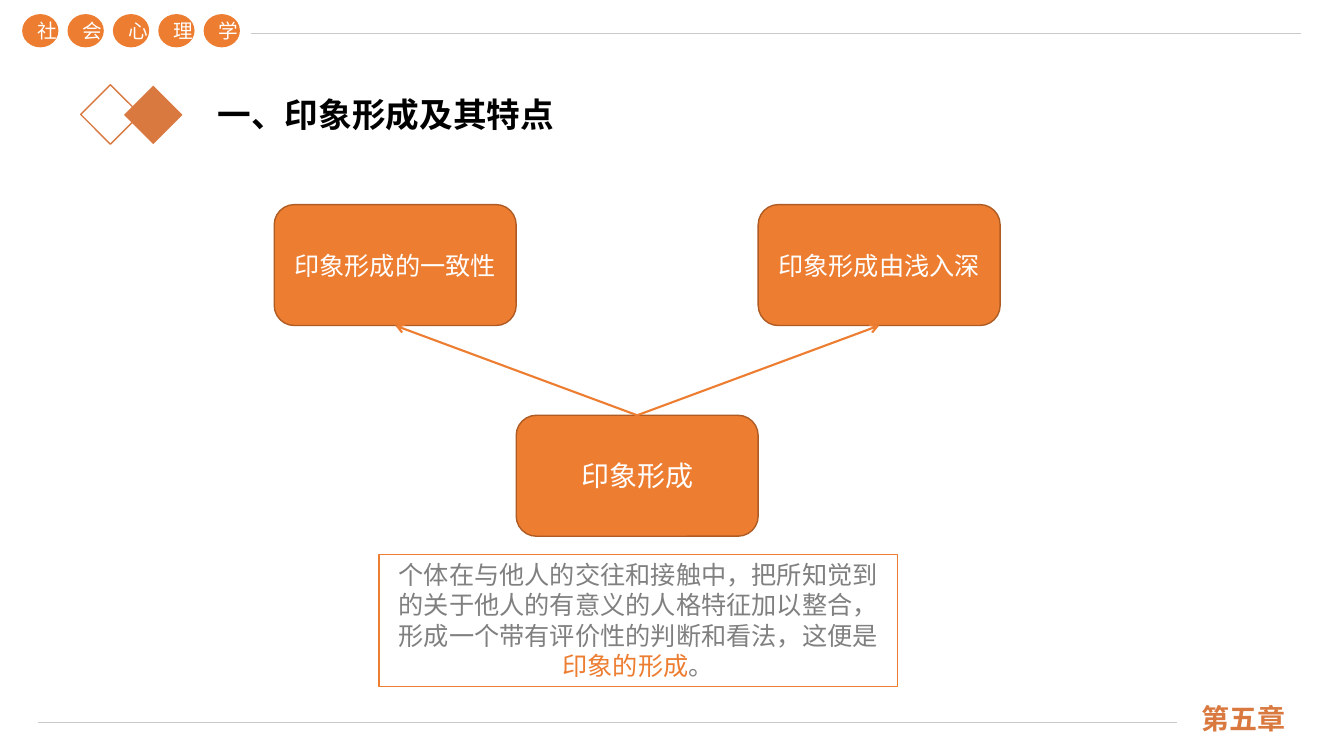
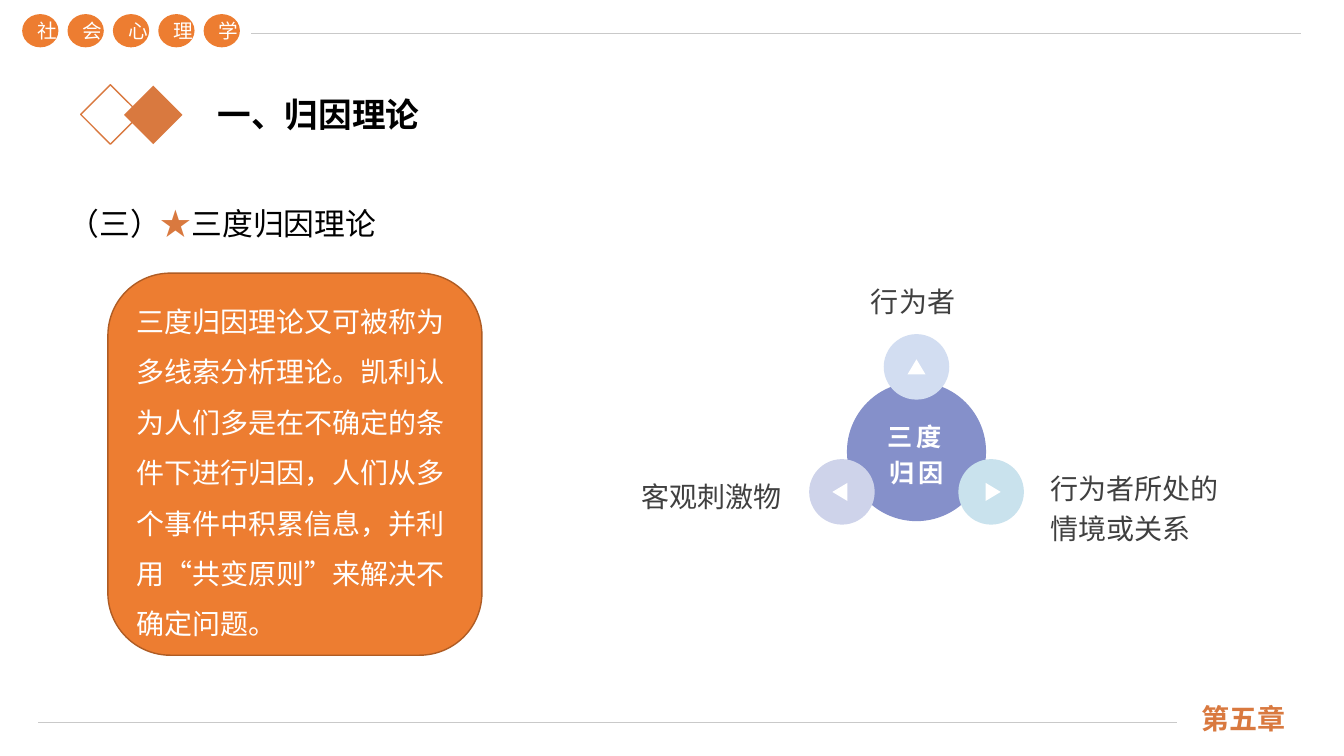
import pptx
import pptx.dml.color
import pptx.enum.shapes
import pptx.enum.text
import pptx.oxml
import pptx.oxml.ns
import pptx.util

EMU_PER_PX = 9144
SLIDE_WIDTH, SLIDE_HEIGHT = 1333, 750
FONT = "Noto Sans CJK SC"
COLORS = {
    "orange": "ED7D31",
    "orange_edge": "AF5C24",
    "rust": "D9793F",
    "rule": "C9C9C9",
    "white": "FFFFFF",
    "black": "000000",
    "gray": "808080",
    "label": "404040",
    "hub": "8590CA",
    "actor": "D2DDF1",
    "stimulus": "CED3EA",
    "context": "C9E2ED",
}
SHAPE = pptx.enum.shapes.MSO_SHAPE
ALIGN = pptx.enum.text.PP_ALIGN
ANCHOR = pptx.enum.text.MSO_ANCHOR


def px(length):
    return pptx.util.Emu(round(length * EMU_PER_PX))


def rgb(name):
    return pptx.dml.color.RGBColor.from_string(COLORS[name])


def add_xml(parent, tag, **attributes):
    element = pptx.oxml.parse_xml(f"<a:{tag} {pptx.oxml.ns.nsdecls('a')}/>")
    for key, value in attributes.items():
        element.set(key, value)
    parent.append(element)
    return element


def write(shape, runs, size=18, color="white", font=FONT, east_asian=FONT, bold=False,
          align=ALIGN.LEFT, anchor=ANCHOR.TOP, line_spacing=None, tracking=0):
    """Fill a shape with one paragraph; runs is a string or (text, colour) pairs."""
    frame = shape.text_frame
    frame.word_wrap = True
    frame.auto_size = pptx.enum.text.MSO_AUTO_SIZE.NONE
    frame.vertical_anchor = anchor
    paragraph = frame.paragraphs[0]
    paragraph.alignment = align
    paragraph.space_before = pptx.util.Pt(0)
    if line_spacing:
        paragraph.line_spacing = line_spacing
    for text, run_color in [(runs, color)] if isinstance(runs, str) else runs:
        run = paragraph.add_run()
        run.text = text
        run.font.size = pptx.util.Pt(size)
        run.font.bold = bold
        run.font.color.rgb = rgb(run_color)
        run.font.name = font
        properties = run.font._element
        add_xml(properties, "ea", typeface=east_asian)
        if tracking:
            properties.set("spc", str(tracking * 100))
    return paragraph


def place(shape, left, top, width, height):
    shape.left, shape.top, shape.width, shape.height = map(px, (left, top, width, height))


def add_shape(slide, kind, box, fill=None, line=None):
    shape = slide.shapes.add_shape(kind, *map(px, box))
    shape.shadow.inherit = False
    if fill:
        shape.fill.solid()
        shape.fill.fore_color.rgb = rgb(fill)
    else:
        shape.fill.background()
    if line:
        shape.line.color.rgb = rgb(line)
        shape.line.width = pptx.util.Pt(1)
    else:
        shape.line.fill.background()
    return shape


def add_label(slide, box, runs, **text_format):
    write(slide.shapes.add_textbox(*map(px, box)), runs, **text_format)


def add_line(slide, start=(0, 0), end=(0, 0), color="rule", width=1):
    connector = slide.shapes.add_connector(
        pptx.enum.shapes.MSO_CONNECTOR.STRAIGHT, *map(px, (*start, *end)))
    connector.line.color.rgb = rgb(color)
    connector.line.width = pptx.util.Pt(width)
    add_xml(connector._element.spPr, "effectLst")
    return connector


def add_header(slide):
    add_line(slide, (249, 33), (1290, 33))
    for index, character in enumerate("社会心理学"):
        badge = add_shape(slide, SHAPE.OVAL, (22 + 45 * index, 14, 36, 33), "orange")
        write(badge, character, size=14, align=ALIGN.CENTER, anchor=ANCHOR.MIDDLE)


def add_footer(slide):
    add_line(slide, (38, 717), (1167, 717))
    add_label(slide, (1182, 694, 151, 40), "第五章", size=20, color="rust", bold=True,
              font="Noto Sans CJK JP", east_asian="Noto Sans CJK JP", anchor=ANCHOR.BOTTOM)


def add_title(slide, left, top, text):
    add_shape(slide, SHAPE.DIAMOND, (left + 43, top + 1, 58, 58), "rust")
    add_shape(slide, SHAPE.DIAMOND, (left, top, 59, 59), line="rust")
    title = slide.shapes.title
    place(title, left + 126, top + 4, 900, 50)
    write(title, text, size=24, color="black", bold=True, anchor=ANCHOR.MIDDLE)


def new_slide(presentation, layout_index, title):
    slide = presentation.slides.add_slide(presentation.slide_layouts[layout_index])
    add_header(slide)
    add_title(slide, 80, 84, title)
    add_footer(slide)
    return slide


def add_card(slide, box, text, **text_format):
    card = add_shape(slide, SHAPE.ROUNDED_RECTANGLE, box, "orange", "orange_edge")
    write(card, text, anchor=ANCHOR.MIDDLE, **text_format)
    return card


def add_impression_tree(slide, left, top):
    """Root card with an arrow to a trait card on either side above it."""
    width, height, rise = 240, 120, 209
    root = add_card(slide, (left + width, top + rise, width, height), "印象形成",
                    size=20, align=ALIGN.CENTER)
    for column, trait in ((0, "印象形成的一致性"), (2, "印象形成由浅入深")):
        card = add_card(slide, (left + column * width, top, width, height), trait,
                        align=ALIGN.CENTER)
        arrow = add_line(slide, color="orange", width=1.5)
        arrow.begin_connect(root, 0)
        arrow.end_connect(card, 2)
        add_xml(arrow.line._get_or_add_ln(), "tailEnd", type="arrow")


def add_definition(slide, box):
    write(add_shape(slide, SHAPE.RECTANGLE, box, "white", "orange"), [
        ("个体在与他人的交往和接触中，把所知觉到的关于他人的有意义的人格特征加以整合，"
         "形成一个带有评价性的判断和看法，这便是", "gray"),
        ("印象的形成", "orange"),
        ("。", "gray"),
    ], align=ALIGN.CENTER)


def add_subheading(slide, box):
    body = slide.placeholders[1]
    place(body, *box)
    paragraph = write(body, [("（三）", "black"), ("★", "rust"), ("三度归因理论", "black")],
                      size=22, align=ALIGN.JUSTIFY, line_spacing=1.5)
    properties = paragraph._p.get_or_add_pPr()
    properties.set("marL", "0")
    properties.set("indent", "0")
    add_xml(properties, "buNone")


def add_attribution_wheel(slide, center_x, center_y):
    """Hub with three satellites, each with an outward triangle and a label."""
    def around(x, y, width, height):
        return center_x + x - width / 2, center_y + y - height / 2, width, height

    hub = add_shape(slide, SHAPE.OVAL, around(0, 0, 138, 138), "hub")
    write(hub, "三度归因", font="Arial", bold=True, align=ALIGN.CENTER,
          anchor=ANCHOR.MIDDLE, line_spacing=1.2, tracking=3)
    satellites = [
        # x, y, colour, turn, triangle shift, label box, label, alignment
        (-74, 40, "stimulus", 270, -2, (-391, 16, 267, 50), "客观刺激物", ALIGN.RIGHT),
        (0, -84, "actor", 0, 0, (-55, -177, 109, 50), "行为者", ALIGN.LEFT),
        (74, 40, "context", 90, 2, (123, 8, 206, 91), "行为者所处的情境或关系", ALIGN.LEFT),
    ]
    for x, y, color, turn, shift, label_box, label, align in satellites:
        add_shape(slide, SHAPE.OVAL, around(x, y, 65, 65), color)
        triangle = add_shape(slide, SHAPE.ISOSCELES_TRIANGLE,
                             around(x + shift, y, 18, 15), "white")
        triangle.rotation = turn
        label_x, label_y, width, height = label_box
        add_label(slide, (center_x + label_x, center_y + label_y, width, height), label,
                  size=20, color="label", font="Arial", align=align, line_spacing=1.2)


def build_impression_slide(presentation):
    slide = new_slide(presentation, 5, "一、印象形成及其特点")
    add_impression_tree(slide, 272, 203)
    add_definition(slide, (376, 550, 514, 131))


def build_attribution_slide(presentation):
    slide = new_slide(presentation, 1, "一、归因理论")
    add_subheading(slide, (58, 180, 603, 75))
    add_card(slide, (107, 271, 371, 379),
             "三度归因理论又可被称为多线索分析理论。凯利认为人们多是在不确定的条件下进行归因，"
             "人们从多个事件中积累信息，并利用“共变原则”来解决不确定问题。",
             size=20, line_spacing=1.5)
    add_attribution_wheel(slide, 909, 448)


def main():
    presentation = pptx.Presentation()
    presentation.slide_width, presentation.slide_height = px(SLIDE_WIDTH), px(SLIDE_HEIGHT)
    build_impression_slide(presentation)
    build_attribution_slide(presentation)
    presentation.save("out.pptx")


if __name__ == "__main__":
    main()
